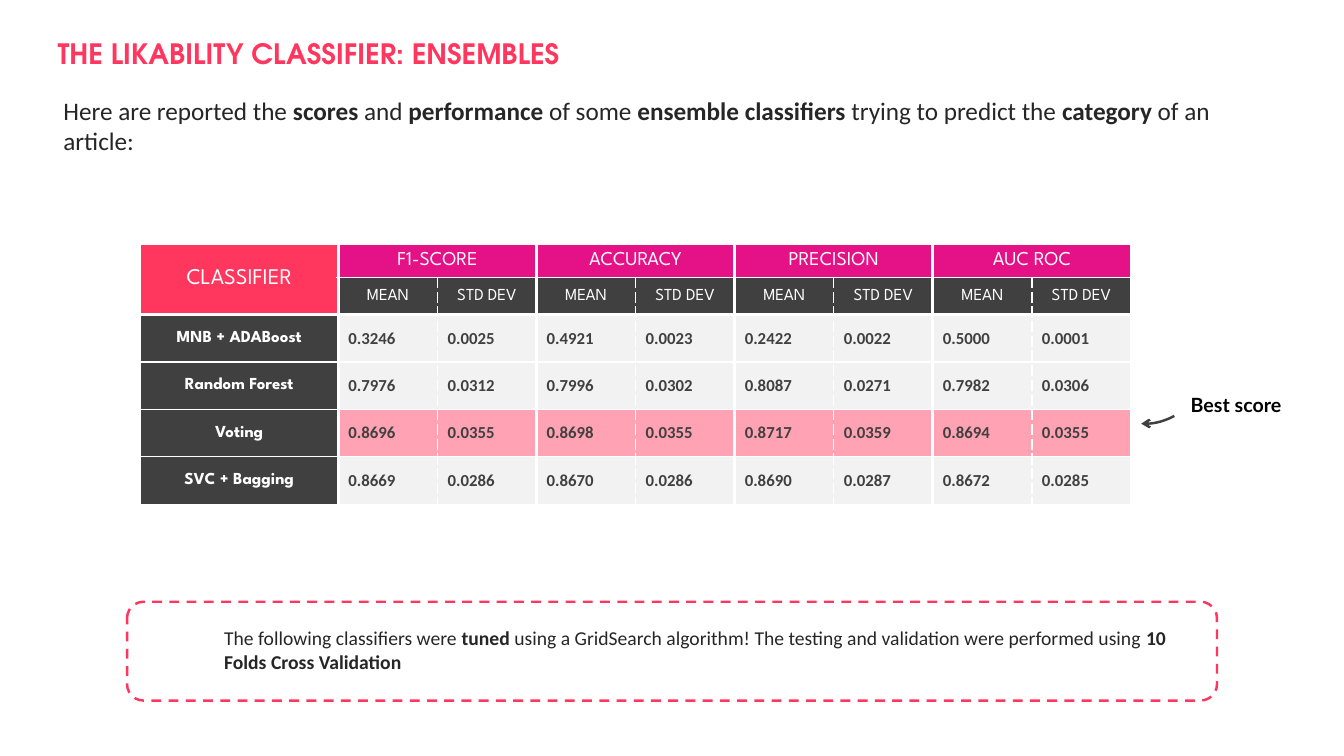
from lxml.etree import SubElement
from pptx import Presentation
from pptx.dml.color import RGBColor
from pptx.enum.dml import MSO_LINE
from pptx.enum.shapes import MSO_SHAPE
from pptx.enum.text import MSO_ANCHOR, MSO_AUTO_SIZE, PP_ALIGN
from pptx.oxml.ns import qn
from pptx.util import Inches, Pt

PINK, MAGENTA, DARK, PALE, WHITE = "FF365D", "E51187", "404040", "F2F2F2", "FFFFFF"
TITLE_FORMAT = {"name": "TeX Gyre Adventor", "size": Pt(20), "bold": True}
INTRO_FORMAT = {"name": "Calibri", "size": Pt(18)}
NOTE_FORMAT = {"name": "Calibri", "size": Pt(14)}
BEST_FORMAT = {"name": "Lato", "size": Pt(14), "bold": True}
CORNER_FORMAT = {"name": "League Spartan", "size": Pt(16), "bold": False}
METRIC_FORMAT = {**CORNER_FORMAT, "size": Pt(14)}
MEASURE_FORMAT = {**CORNER_FORMAT, "size": Pt(12)}
LABEL_FORMAT = {**MEASURE_FORMAT, "bold": True}
SCORE_FORMAT = {**LABEL_FORMAT, "name": "Calibri"}

METRICS = ["F1-SCORE", "ACCURACY", "PRECISION", "AUC ROC"]
SCORES = {
    "MNB + ADABoost": ["0.3246", "0.0025", "0.4921", "0.0023", "0.2422", "0.0022", "0.5000", "0.0001"],
    "Random Forest": ["0.7976", "0.0312", "0.7996", "0.0302", "0.8087", "0.0271", "0.7982", "0.0306"],
    "Voting": ["0.8696", "0.0355", "0.8698", "0.0355", "0.8717", "0.0359", "0.8694", "0.0355"],
    "SVC + Bagging": ["0.8669", "0.0286", "0.8670", "0.0286", "0.8690", "0.0287", "0.8672", "0.0285"],
}
BEST = "Voting"
COLUMN_UNITS = [2] + [1] * 8
ROW_UNITS = [4, 4, 7, 7, 7, 7]
DASHED = "sysDash"
COLUMN_EDGES = [1, 3, DASHED, 2.25, DASHED, 2.25, DASHED, 2.25, DASHED, 1]
ROW_EDGES = [1, 1, 3, 1, 1, 1, 1]


def color(code):
    """Turn a hex string into a colour."""
    return RGBColor.from_string(code)


def inside(box, left, top, width, height):
    """Return the part of a box given in percent of its size."""
    x, y, w, h = box
    return (int(x + w * left / 100), int(y + h * top / 100),
            int(w * width / 100), int(h * height / 100))


def write(para, text, values, code):
    """Write text into a paragraph, with the parts between ** in bold."""
    for index, part in enumerate(text.split("**")):
        if part:
            span = para.add_run()
            span.text = part
            for name, value in values.items():
                setattr(span.font, name, value)
            span.font.color.rgb = color(code)
            if index % 2:
                span.font.bold = True


def add_text(slide, box, text, values, code):
    """Add a wrapping text box and return its paragraph."""
    frame = slide.shapes.add_textbox(*box).text_frame
    frame.word_wrap = True
    write(frame.paragraphs[0], text, values, code)
    return frame.paragraphs[0]


def add_title(slide, box, text):
    """Place and format the title placeholder."""
    title = slide.shapes.title
    title.left, title.top, title.width, title.height = box
    frame = title.text_frame
    frame.auto_size = MSO_AUTO_SIZE.NONE
    frame.vertical_anchor = MSO_ANCHOR.MIDDLE
    frame.paragraphs[0].alignment = PP_ALIGN.LEFT
    write(frame.paragraphs[0], text, TITLE_FORMAT, PINK)


def add_outline(slide, preset, box, code):
    """Add an unfilled shape with a coloured line."""
    shape = slide.shapes.add_shape(preset, *box)
    shape.shadow.inherit = False
    shape.fill.background()
    shape.line.color.rgb = color(code)
    shape.line.width = Pt(1.75)
    return shape


def add_note(slide, box, text):
    """Add the dashed frame with its note."""
    add_text(slide, inside(box, 8, 19.4, 91, 58), text, NOTE_FORMAT, "262626")
    frame = add_outline(slide, MSO_SHAPE.ROUNDED_RECTANGLE, box, PINK)
    frame.line.dash_style = MSO_LINE.DASH


def add_best_mark(slide, box, text):
    """Add the curved arrow and its label."""
    arc = add_outline(slide, MSO_SHAPE.ARC, inside(box, 0, 24.4, 37.4, 75.6), DARK)
    arc.adjustments[0], arc.adjustments[1] = 125.74, 182.73
    arc.rotation = 341.2
    arc._element.spPr.find(qn("a:xfrm")).set("flipV", "1")
    SubElement(arc.line._get_or_add_ln(), qn("a:headEnd"), type="arrow")
    label = add_text(slide, inside(box, 30.8, 0, 69.2, 93), text, BEST_FORMAT, "000000")
    label.line_spacing = 1.5


def set_borders(cell, row, column):
    """Draw the white edges of a cell, spans included."""
    edges = {
        "a:lnL": COLUMN_EDGES[column],
        "a:lnR": COLUMN_EDGES[column + cell.span_width],
        "a:lnT": ROW_EDGES[row],
        "a:lnB": ROW_EDGES[row + cell.span_height],
    }
    properties = cell._tc.get_or_add_tcPr()
    for tag, edge in edges.items():
        width = 1 if edge == DASHED else edge
        line = SubElement(properties, qn(tag), w=str(Pt(width)))
        fill = SubElement(line, qn("a:solidFill"))
        SubElement(fill, qn("a:srgbClr"), val=WHITE)
        SubElement(line, qn("a:prstDash"), val=DASHED if edge == DASHED else "solid")


def fill_cell(table, row, column, text, values, code, background, centered=True):
    """Write and colour one cell."""
    cell = table.cell(row, column)
    cell.vertical_anchor = MSO_ANCHOR.MIDDLE
    para = cell.text_frame.paragraphs[0]
    para.alignment = PP_ALIGN.CENTER if centered else PP_ALIGN.LEFT
    write(para, text, values, code)
    set_borders(cell, row, column)
    cell.fill.solid()
    cell.fill.fore_color.rgb = color(background)
    return cell


def add_score_table(slide, box):
    """Add the table of scores with its two header rows."""
    table = slide.shapes.add_table(len(ROW_UNITS), len(COLUMN_UNITS), *box).table
    table.first_row = table.horz_banding = False
    for column, units in zip(table.columns, COLUMN_UNITS):
        column.width = int(box[2] * units / sum(COLUMN_UNITS))
    for row, units in zip(table.rows, ROW_UNITS):
        row.height = int(box[3] * units / sum(ROW_UNITS))

    table.cell(0, 0).merge(table.cell(1, 0))
    fill_cell(table, 0, 0, "CLASSIFIER", CORNER_FORMAT, WHITE, PINK)
    for index, metric in enumerate(METRICS):
        first = 1 + 2 * index
        table.cell(0, first).merge(table.cell(0, first + 1))
        fill_cell(table, 0, first, metric, METRIC_FORMAT, WHITE, MAGENTA)
        for offset, measure in enumerate(("MEAN", "STD DEV")):
            fill_cell(table, 1, first + offset, measure, MEASURE_FORMAT, WHITE, DARK)

    for row, (classifier, scores) in enumerate(SCORES.items(), 2):
        fill_cell(table, row, 0, classifier, LABEL_FORMAT, WHITE, DARK)
        best = classifier == BEST
        for column, score in enumerate(scores, 1):
            cell = fill_cell(table, row, column, score, SCORE_FORMAT, DARK,
                             PINK if best else PALE, centered=False)
            if best:
                tint = cell._tc.tcPr.find(qn("a:solidFill")).find(qn("a:srgbClr"))
                SubElement(tint, qn("a:alpha"), val="46000")


def main():
    """Build the slide and save the deck."""
    deck = Presentation()
    deck.slide_width, deck.slide_height = Inches(13.33), Inches(7.5)
    page = (0, 0, deck.slide_width, deck.slide_height)
    slide = deck.slides.add_slide(deck.slide_layouts[5])
    add_title(slide, inside(page, 3.53, 4.13, 72.9, 5.87), "THE LIKABILITY CLASSIFIER: ENSEMBLES")
    add_text(slide, inside(page, 3.98, 11.9, 89.1, 9.47),
             "Here are reported the **scores** and **performance** of some **ensemble classifiers "
             "**trying to predict the **category** of an article:", INTRO_FORMAT, "262626")
    add_note(slide, inside(page, 9.45, 79.6, 81.1, 13.07),
             "The following classifiers were **tuned **using a GridSearch algorithm! The testing and "
             "validation were performed using **10 Folds Cross Validation**")
    add_score_table(slide, inside(page, 10.43, 32.27, 73.74, 32.27))
    add_best_mark(slide, inside(page, 83.65, 49.73, 13.65, 6), "Best score")
    deck.save("out.pptx")


if __name__ == "__main__":
    main()
